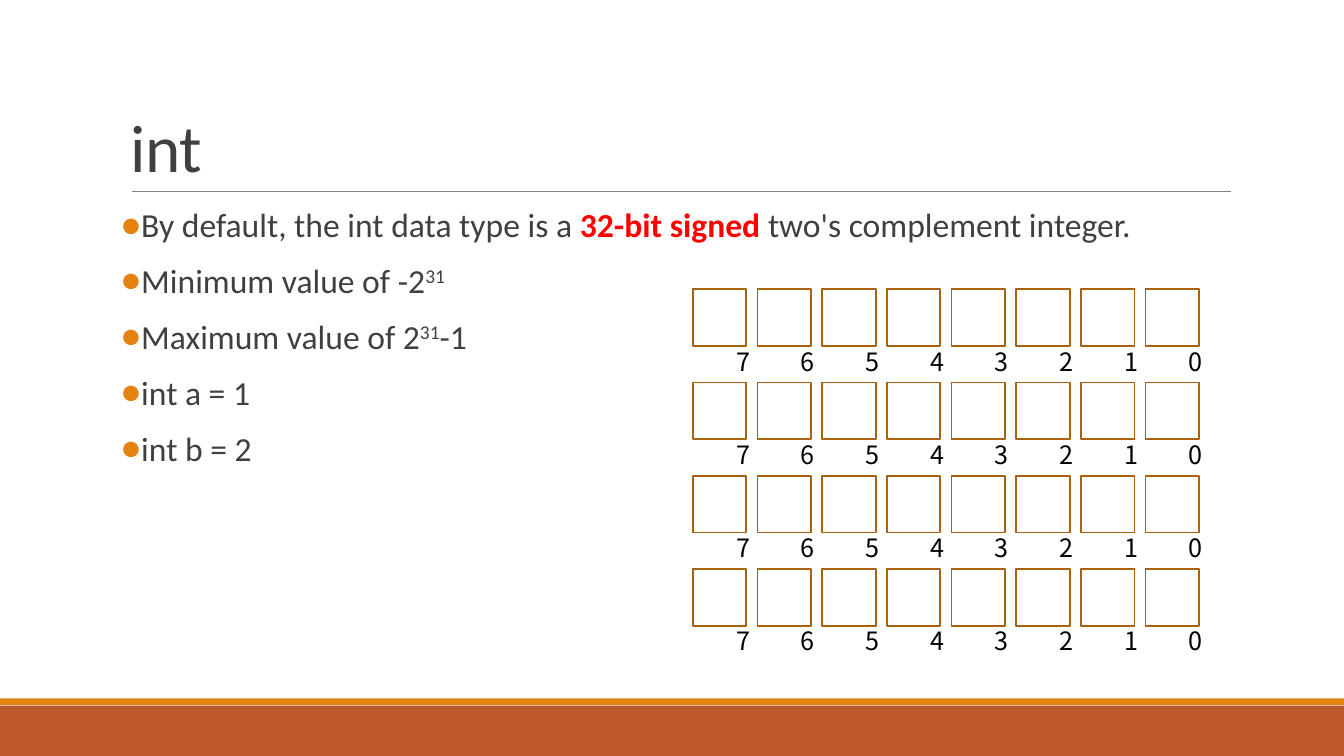
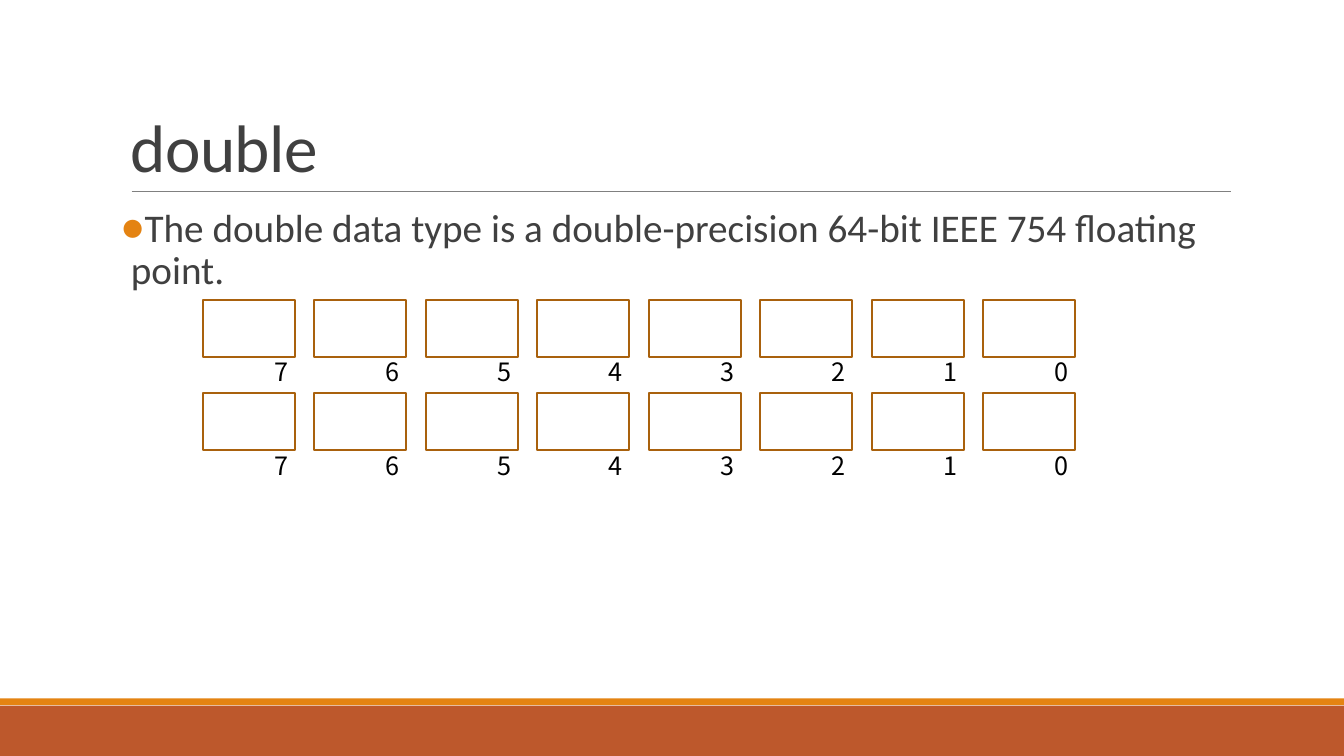
import dataclasses
import typing

import lxml.etree
import pptx
import pptx.dml.color
import pptx.enum.shapes
import pptx.enum.text
import pptx.oxml.ns
import pptx.util

Cm = pptx.util.Cm
Pt = pptx.util.Pt


@dataclasses.dataclass(frozen=True)
class Theme:
    text: str = "404040"
    emphasis: str = "FF0000"
    accent: str = "E48312"
    footer: str = "BD582C"
    rule: str = "808080"
    bit_outline: str = "A9610D"
    bit_label: str = "000000"
    font: str = "Calibri"
    label_font: str = "Noto Sans CJK SC"
    title_size: int = 48
    label_size: int = 18


@dataclasses.dataclass(frozen=True)
class TextPart:
    text: str
    emphasized: bool = False
    superscript: bool = False


@dataclasses.dataclass(frozen=True)
class Box:
    """A rectangle in centimetres."""

    left: float
    top: float
    width: float
    height: float

    def lengths(self) -> tuple[pptx.util.Length, ...]:
        return tuple(Cm(value) for value in dataclasses.astuple(self))


@dataclasses.dataclass(frozen=True)
class BitGrid:
    """Rows of eight bit cells, measured in centimetres."""

    left: float
    top: float
    rows: int
    cell_width: float
    column_step: float
    label_offset: float
    cell_height: float = 1.43
    row_step: float = 2.35


@dataclasses.dataclass(frozen=True)
class Topic:
    title: str
    body_size: int
    bullets: list[list[TextPart]]
    grid: BitGrid


THEME = Theme()
TITLE_BOX = Box(3.05, 0.8, 27.94, 4.03)
BODY_BOX = Box(3.05, 5.13, 27.94, 11.18)
BITS_PER_BYTE = 8

TOPICS = [
    Topic(
        "int",
        24,
        [
            [
                TextPart("By default, the int data type is a "),
                TextPart("32-bit signed", emphasized=True),
                TextPart(" two's complement integer."),
            ],
            [TextPart("Minimum value of -2"), TextPart("31", superscript=True)],
            [TextPart("Maximum value of 2"), TextPart("31", superscript=True), TextPart("-1")],
            [TextPart("int a = 1")],
            [TextPart("int b = 2")],
        ],
        BitGrid(17.46, 7.29, rows=4, cell_width=1.35, column_step=1.63, label_offset=1.09),
    ),
    Topic(
        "double",
        28,
        [[TextPart("The double data type is a double-precision 64-bit IEEE 754 floating point.")]],
        BitGrid(5.11, 7.56, rows=2, cell_width=2.32, column_step=2.81, label_offset=1.8),
    ),
]


def rgb(value: str) -> pptx.dml.color.RGBColor:
    return pptx.dml.color.RGBColor.from_string(value)


def apply_format(target: typing.Any, values: dict[str, typing.Any]) -> None:
    for name, value in values.items():
        setattr(target, name, value)


def add_run(paragraph, text: str, size: int, color: str, font: str = THEME.font, bold: bool = False):
    run = paragraph.add_run()
    run.text = text
    apply_format(run.font, {"name": font, "size": Pt(size), "bold": bold})
    run.font.color.rgb = rgb(color)
    return run


def add_text_frame(shapes, box: Box, frame_format: dict[str, typing.Any]):
    text_frame = shapes.add_textbox(*box.lengths()).text_frame
    apply_format(text_frame, frame_format)
    return text_frame


def add_rectangle(shapes, box: Box, fill: str | None = None, outline: str | None = None) -> None:
    shape = shapes.add_shape(pptx.enum.shapes.MSO_SHAPE.RECTANGLE, *box.lengths())
    shape.shadow.inherit = False
    if fill:
        shape.fill.solid()
        shape.fill.fore_color.rgb = rgb(fill)
    else:
        shape.fill.background()
    if outline:
        shape.line.color.rgb = rgb(outline)
        shape.line.width = Pt(1.25)
    else:
        shape.line.fill.background()


def add_frame(slide) -> None:
    """Draw the footer bands and the rule under the title."""
    add_rectangle(slide.shapes, Box(0, 17.78, 33.87, 1.27), fill=THEME.footer)
    add_rectangle(slide.shapes, Box(0, 17.6, 33.87, 0.17), fill=THEME.accent)
    rule = slide.shapes.add_connector(
        pptx.enum.shapes.MSO_CONNECTOR.STRAIGHT, Cm(3.32), Cm(4.82), Cm(31.02), Cm(4.82)
    )
    rule.line.color.rgb = rgb(THEME.rule)
    rule.line.width = Pt(0.5)
    lxml.etree.SubElement(rule._element.spPr, pptx.oxml.ns.qn("a:effectLst"))


def add_title(slide, title: str) -> None:
    text_frame = add_text_frame(
        slide.shapes,
        TITLE_BOX,
        {"word_wrap": True, "vertical_anchor": pptx.enum.text.MSO_ANCHOR.BOTTOM},
    )
    paragraph = text_frame.paragraphs[0]
    paragraph.line_spacing = 0.85
    run = add_run(paragraph, title, THEME.title_size, THEME.text)
    run._r.get_or_add_rPr().set("spc", "-50")


def set_bullet(paragraph) -> None:
    properties = paragraph._p.get_or_add_pPr()
    properties.set("marL", str(Cm(0.25)))
    properties.set("indent", str(-Cm(0.25)))
    bullet_color = lxml.etree.SubElement(properties, pptx.oxml.ns.qn("a:buClr"))
    lxml.etree.SubElement(bullet_color, pptx.oxml.ns.qn("a:srgbClr"), val=THEME.accent)
    lxml.etree.SubElement(properties, pptx.oxml.ns.qn("a:buFont"), typeface=THEME.font)
    lxml.etree.SubElement(properties, pptx.oxml.ns.qn("a:buChar"), char="●")


def add_body(slide, bullets: list[list[TextPart]], size: int) -> None:
    text_frame = add_text_frame(
        slide.shapes, BODY_BOX, {"word_wrap": True, "margin_left": 0, "margin_right": 0}
    )
    for index, parts in enumerate(bullets):
        paragraph = text_frame.add_paragraph() if index else text_frame.paragraphs[0]
        apply_format(
            paragraph, {"line_spacing": 0.9, "space_before": Pt(12), "space_after": Pt(2)}
        )
        set_bullet(paragraph)
        for part in parts:
            color = THEME.emphasis if part.emphasized else THEME.text
            run = add_run(paragraph, part.text, size, color, bold=part.emphasized)
            if part.superscript:
                run._r.get_or_add_rPr().set("baseline", "30000")


def add_bit_label(shapes, left: float, top: float, bit: int) -> None:
    margins = {f"margin_{side}": 0 for side in ("left", "top", "right", "bottom")}
    text_frame = add_text_frame(shapes, Box(left, top, 0.36, 0.92), {"word_wrap": False, **margins})
    add_run(
        text_frame.paragraphs[0], str(bit), THEME.label_size, THEME.bit_label, THEME.label_font
    )


def add_bit_grid(slide, grid: BitGrid) -> None:
    for row in range(grid.rows):
        byte_group = slide.shapes.add_group_shape()
        top = grid.top + row * grid.row_step
        for column in range(BITS_PER_BYTE):
            left = grid.left + column * grid.column_step
            cell = Box(left, top, grid.cell_width, grid.cell_height)
            add_rectangle(byte_group.shapes, cell, outline=THEME.bit_outline)
            add_bit_label(
                byte_group.shapes,
                left + grid.label_offset,
                top + grid.cell_height,
                BITS_PER_BYTE - 1 - column,
            )


def main() -> None:
    presentation = pptx.Presentation()
    apply_format(presentation, {"slide_width": Cm(33.87), "slide_height": Cm(19.05)})
    blank_layout = presentation.slide_layouts[6]
    for topic in TOPICS:
        slide = presentation.slides.add_slide(blank_layout)
        add_frame(slide)
        add_title(slide, topic.title)
        add_body(slide, topic.bullets, topic.body_size)
        add_bit_grid(slide, topic.grid)
    presentation.save("out.pptx")


if __name__ == "__main__":
    main()
